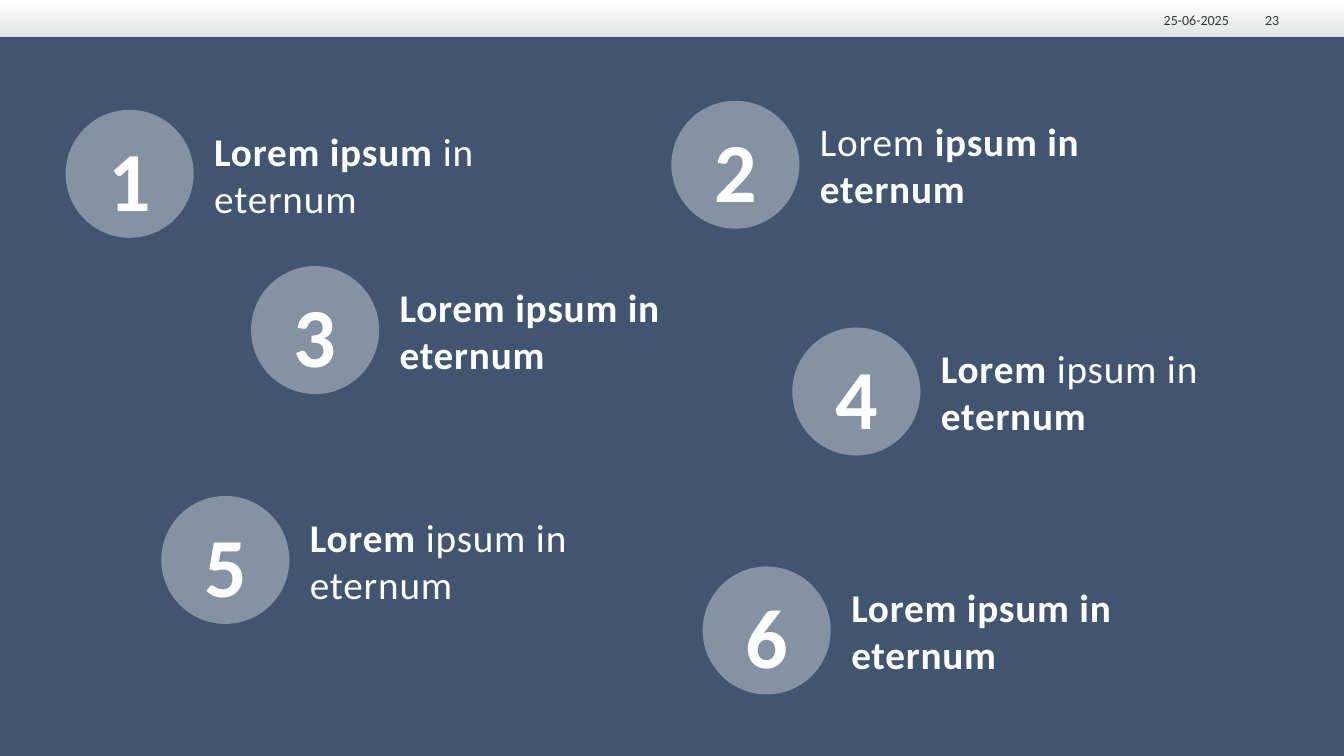
from lxml import etree
from pptx import Presentation
from pptx.dml.color import RGBColor
from pptx.enum.shapes import MSO_SHAPE
from pptx.enum.text import MSO_ANCHOR, PP_ALIGN
from pptx.oxml.ns import qn
from pptx.util import Inches, Pt

RECTANGLE, OVAL = MSO_SHAPE.RECTANGLE, MSO_SHAPE.OVAL
MIDDLE, BOTTOM = MSO_ANCHOR.MIDDLE, MSO_ANCHOR.BOTTOM
LEFT, CENTER, RIGHT = PP_ALIGN.LEFT, PP_ALIGN.CENTER, PP_ALIGN.RIGHT

COLORS = {"background": "415570", "white": "FFFFFF", "bar_end": "E2E4E5", "footer": "333333"}
FONT = "Calibri"
SLIDE_WIDTH, SLIDE_HEIGHT = Inches(13.33), Inches(7.5)

# All positions and sizes are percentages of the slide's width and height.
CIRCLE_WIDTH, CIRCLE_HEIGHT = 9.53, 16.93
LABEL_OFFSET = 11.06
CIRCLE_OPACITY = 36

# Left, top, label width, and label spans as (text, bold)
ITEMS = [
    (4.88, 14.53, 29.48, [("Lorem ipsum ", True), ("in eternum", False)]),
    (49.95, 13.33, 30.38, [("Lorem ", False), ("ipsum in eternum", True)]),
    (18.68, 35.2, 25.5, [("Lorem ipsum in eternum", True)]),
    (58.95, 43.33, 25.13, [("Lorem ", True), ("ipsum in ", False), ("eternum", True)]),
    (12, 65.6, 24.08, [("Lorem ", True), ("ipsum in eternum", False)]),
    (52.28, 74.93, 27.45, [("Lorem ipsum in eternum", True)]),
]


def rgb(name):
    return RGBColor.from_string(COLORS[name])


def place(left, top, width, height):
    """Turn percentages of the slide into lengths."""
    return (int(SLIDE_WIDTH * left / 100), int(SLIDE_HEIGHT * top / 100),
            int(SLIDE_WIDTH * width / 100), int(SLIDE_HEIGHT * height / 100))


def write(shape, spans, size, color="white", align=LEFT, anchor=MIDDLE, top_inset=0, spacing=0):
    """Fill a shape with one paragraph; letter spacing is in points."""
    frame = shape.text_frame
    frame.word_wrap = True
    frame.vertical_anchor = anchor
    frame.margin_left = frame.margin_right = frame.margin_bottom = 0
    frame.margin_top = Inches(top_inset)
    para = frame.paragraphs[0]
    para.alignment = align
    for text, bold in spans:
        span = para.add_run()
        span.text = text
        span.font.name = FONT
        span.font.size = Pt(size)
        span.font.bold = bold
        span.font.color.rgb = rgb(color)
        if spacing:
            span.font._element.set("spc", str(round(spacing * 100)))


def add_plain_shape(page, kind, area):
    shape = page.shapes.add_shape(kind, *place(*area))
    shape.shadow.inherit = False
    shape.line.fill.background()
    return shape


def add_top_bar(page):
    fill = add_plain_shape(page, RECTANGLE, (0, 0, 100, 4.9)).fill
    fill.gradient()
    fill.gradient_angle = 270
    for stop, color, position in zip(fill.gradient_stops, ("white", "bar_end"), (0, 1)):
        stop.color.rgb = rgb(color)
        stop.position = position


def add_footer_text(page, left, width, text):
    box = page.shapes.add_textbox(*place(left, 1.2, width, 2.53))
    write(box, [(text, False)], 10, "footer", RIGHT, BOTTOM)


def add_numbered_item(page, number, left, top, label_width, spans):
    circle = add_plain_shape(page, OVAL, (left, top, CIRCLE_WIDTH, CIRCLE_HEIGHT))
    circle.fill.solid()
    circle.fill.fore_color.rgb = rgb("white")
    color = circle.fill._xPr.find(qn("a:solidFill"))[0]
    etree.SubElement(color, qn("a:alpha")).set("val", str(CIRCLE_OPACITY * 1000))
    write(circle, [(str(number), True)], 60, align=CENTER, top_inset=0.08, spacing=0.6)

    label = page.shapes.add_textbox(*place(left + LABEL_OFFSET, top, label_width, CIRCLE_HEIGHT))
    write(label, spans, 28, spacing=0.6)


def main():
    deck = Presentation()
    deck.slide_width, deck.slide_height = SLIDE_WIDTH, SLIDE_HEIGHT
    page = deck.slides.add_slide(deck.slide_layouts[6])
    page.background.fill.solid()
    page.background.fill.fore_color.rgb = rgb("background")

    add_top_bar(page)
    for number, item in enumerate(ITEMS, start=1):
        add_numbered_item(page, number, *item)
    add_footer_text(page, 84.75, 6.68, "25-06-2025")
    add_footer_text(page, 92.03, 3.15, "23")

    deck.save("out.pptx")


if __name__ == "__main__":
    main()
